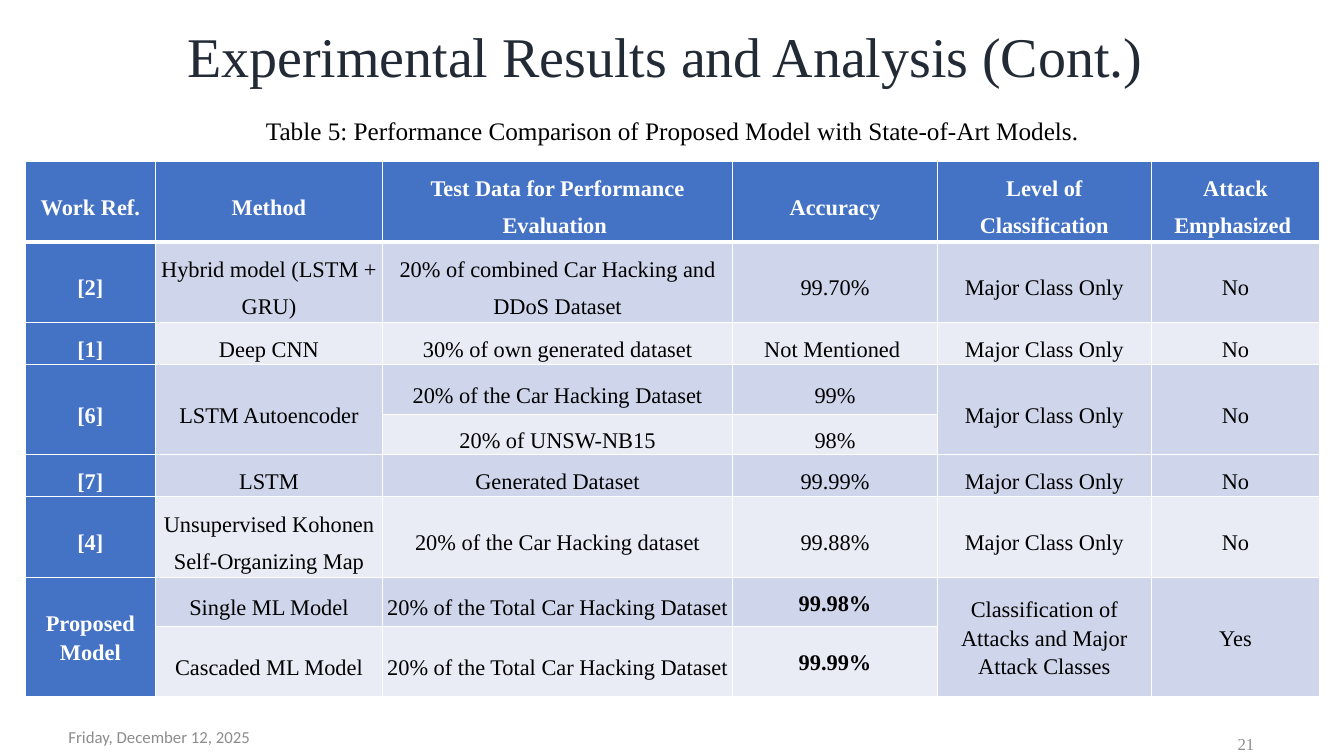
from lxml.etree import SubElement
from pptx import Presentation
from pptx.dml.color import RGBColor
from pptx.enum.text import MSO_ANCHOR as ANCHOR, MSO_AUTO_SIZE as FIT, PP_ALIGN as ALIGN
from pptx.oxml import parse_xml
from pptx.oxml.ns import nsdecls, qn
from pptx.util import Inches, Pt

HEADER = ["Work Ref.", "Method", "Test Data for Performance Evaluation ", "Accuracy",
          "Level of Classification", "Attack Emphasized "]
MAJOR = "Major Class Only"
TOTAL = "20% of the Total Car Hacking Dataset"
# None continues the cell above it
MODELS = [
    ["[2]", "Hybrid model (LSTM + GRU)", "20% of combined Car Hacking and DDoS Dataset",
     "99.70%", MAJOR, "No"],
    ["[1]", "Deep CNN", "30% of own generated dataset", "Not Mentioned ", MAJOR, "No"],
    ["[6]", "LSTM Autoencoder", "20% of the Car Hacking Dataset", "99%", MAJOR, "No"],
    [None, None, "20% of UNSW-NB15", "98%", None, None],
    ["[7]", "LSTM", "Generated Dataset", "99.99%", MAJOR, "No"],
    ["[4]", "Unsupervised Kohonen Self-Organizing Map", "20% of the Car Hacking dataset",
     "99.88%", MAJOR, "No"],
    ["Proposed Model", "Single ML Model", TOTAL, "99.98%",
     "Classification of Attacks and Major Attack Classes", "Yes"],
    [None, "Cascaded ML Model", TOTAL, "99.99%", None, None],
]
COL_WEIGHTS = [1.29, 2.25, 3.47, 2.03, 2.12, 1.67]
ROW_WEIGHTS = [0.72, 0.72, 0.42, 0.49, 0.34, 0.42, 0.76, 0.49, 0.69]
PROPOSED_ROW, ACCURACY_COL = 7, 3


def rgb(hex_colour):
    return RGBColor.from_string(hex_colour)


class Deck:
    SERIF, SANS = "Times New Roman", "Calibri"
    BLACK, WHITE, GREY, INK = "000000", "FFFFFF", "8C8C8C", "222A35"
    BLUE, BANDS = "4472C4", ("E9EBF5", "CFD5EA")

    def __init__(self):
        self.prs = Presentation()
        self.prs.slide_width, self.prs.slide_height = Inches(13.33), Inches(7.5)
        self.slide = self.prs.slides.add_slide(self.prs.slide_layouts[5])

    def box(self, x, y, w, h):
        """Turn percentages of the slide's size into lengths."""
        sizes = (self.prs.slide_width, self.prs.slide_height) * 2
        return [int(size * share / 100) for size, share in zip(sizes, (x, y, w, h))]

    def add_run(self, tf, text, size, colour, font=SERIF, align=ALIGN.CENTER, bold=False,
                spacing=1.0):
        p = tf.paragraphs[0]
        p.alignment, p.line_spacing = align, spacing
        r = p.add_run()
        r.text = text
        r.font.size, r.font.name, r.font.bold = Pt(size), font, bold
        r.font.color.rgb = rgb(colour)
        return r

    def title(self, text, *area):
        sp = self.slide.shapes.title
        sp.left, sp.top, sp.width, sp.height = self.box(*area)
        tf = sp.text_frame
        tf.vertical_anchor, tf.auto_size = ANCHOR.MIDDLE, FIT.NONE
        r = self.add_run(tf, text, 40, self.INK, spacing=0.9)
        shadow = parse_xml(
            f'<a:effectLst {nsdecls("a")}><a:outerShdw blurRad="50800" dist="38100" '
            'dir="2700000" algn="tl" rotWithShape="0"><a:srgbClr val="000000">'
            '<a:alpha val="40000"/></a:srgbClr></a:outerShdw></a:effectLst>')
        r._r.get_or_add_rPr().find(qn("a:solidFill")).addnext(shadow)

    def text(self, text, area, size, colour, anchor=ANCHOR.MIDDLE, **style):
        tf = self.slide.shapes.add_textbox(*self.box(*area)).text_frame
        tf.word_wrap, tf.vertical_anchor = True, anchor
        self.add_run(tf, text, size, colour, **style)

    def borders(self, cell, **widths):
        tc_pr = cell._tc.get_or_add_tcPr()
        for side in "LRTB":
            ln = SubElement(tc_pr, qn(f"a:ln{side}"), w=str(int(Pt(widths.get(side, 1)))))
            fill = SubElement(ln, qn("a:solidFill"))
            SubElement(fill, qn("a:srgbClr"), val=self.WHITE)

    def cell(self, cell, row, col, text):
        heading = row == 0 or col == 0
        self.borders(cell, B=3 if row == 0 else 1, T=3 if row == 1 else 1)
        cell.fill.solid()
        cell.fill.fore_color.rgb = rgb(self.BLUE if heading else self.BANDS[row % 2])
        cell.vertical_anchor = ANCHOR.MIDDLE
        cell.margin_left = cell.margin_right = Inches(0.03)
        cell.margin_top = cell.margin_bottom = 0
        if text is None:
            return
        proposed = row >= PROPOSED_ROW
        self.add_run(cell.text_frame, text, 16, self.WHITE if heading else self.BLACK,
                     bold=heading or (proposed and col == ACCURACY_COL),
                     spacing=1.15 if proposed and col not in (1, 2) else 1.5)

    def table(self, rows, *area):
        x, y, w, h = self.box(*area)
        table = self.slide.shapes.add_table(len(rows), len(rows[0]), x, y, w, h).table
        for column, weight in zip(table.columns, COL_WEIGHTS):
            column.width = int(w * weight / sum(COL_WEIGHTS))
        for line, weight in zip(table.rows, ROW_WEIGHTS):
            line.height = int(h * weight / sum(ROW_WEIGHTS))
        for i, row in enumerate(rows):
            for j, text in enumerate(row):
                self.cell(table.cell(i, j), i, j, text)
                if text is None:
                    table.cell(i - 1, j).merge(table.cell(i, j))


def main():
    deck = Deck()
    deck.text("21", (71.57, 95.73, 22.5, 5.33), 12, deck.GREY, align=ALIGN.RIGHT)
    deck.text("Friday, December 12, 2025", (4.35, 94.8, 22.5, 5.33), 12, deck.GREY,
              font=deck.SANS, align=ALIGN.LEFT)
    deck.title("Experimental Results and Analysis (Cont.) ", 3.83, 0, 92.35, 15.6)
    deck.text("Table 5: Performance Comparison of Proposed Model with State-of-Art Models.",
              (17.25, 14.53, 65.57, 5.33), 18, deck.BLACK, anchor=ANCHOR.TOP)
    deck.table([HEADER] + MODELS, 1.88, 21.33, 96.32, 67.33)
    deck.prs.save("out.pptx")


if __name__ == "__main__":
    main()
